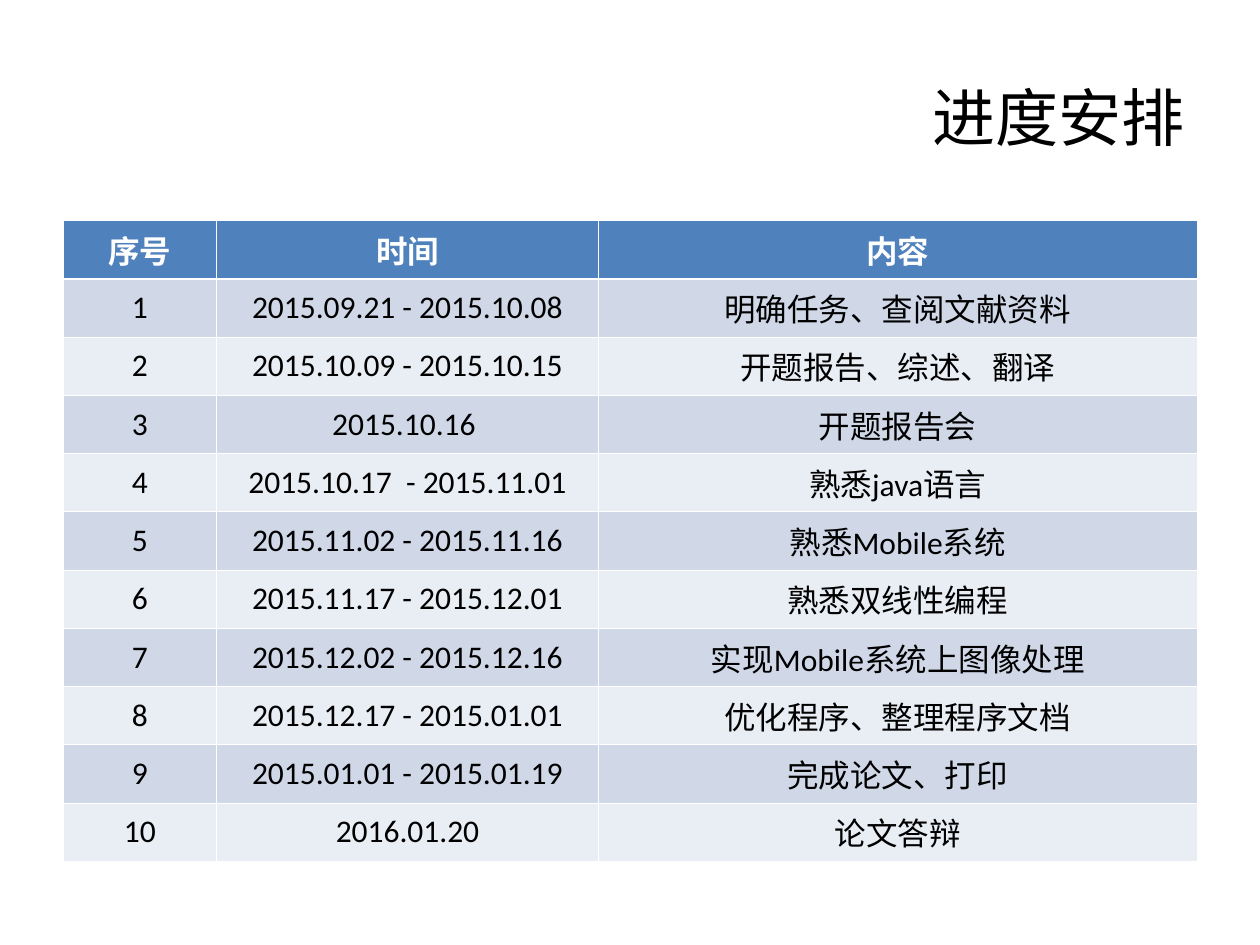
from dataclasses import dataclass

from lxml.etree import SubElement
from pptx import Presentation
from pptx.dml.color import RGBColor as RGB
from pptx.enum.text import MSO_ANCHOR as Anchor, PP_ALIGN as Align
from pptx.oxml.ns import qn
from pptx.util import Inches, Pt

# Content
HEADING = "进度安排"
COLUMNS = [("序号", 1.22), ("时间", 3.03), ("内容", 4.75)]
STAGES = [
    ("2015.09.21 - 2015.10.08", "明确任务、查阅文献资料"),
    ("2015.10.09 - 2015.10.15", "开题报告、综述、翻译"),
    ("2015.10.16 ", "开题报告会"),
    ("2015.10.17  - 2015.11.01", "熟悉java语言"),
    ("2015.11.02 - 2015.11.16", "熟悉Mobile系统"),
    ("2015.11.17 - 2015.12.01", "熟悉双线性编程"),
    ("2015.12.02 - 2015.12.16", "实现Mobile系统上图像处理"),
    ("2015.12.17 - 2015.01.01", "优化程序、整理程序文档"),
    ("2015.01.01 - 2015.01.19", "完成论文、打印"),
    ("2016.01.20", "论文答辩"),
]


@dataclass(frozen=True)
class Theme:
    ink: str = "000000"
    white: str = "FFFFFF"
    header: str = "4F81BD"
    bands: tuple = ("E9EDF4", "D0D8E8")  # even rows, odd rows
    heading_font: str = "Arial"
    heading_size: int = 36
    body_font: str = "Calibri"
    body_size: int = 18
    space_before: float = 4.5
    thin: float = 0.45
    thick: float = 1.47


THEME = Theme()
LEFT, TABLE_TOP, WIDTH, ROW_HEIGHT = 0.5, 1.75, 9, 0.45


def style_text(frame, font, size, color, align, bold=False):
    frame.vertical_anchor = Anchor.MIDDLE
    paragraph = frame.paragraphs[0]
    paragraph.alignment = align
    for run in paragraph.runs:
        run.font.name = font
        run.font.size = Pt(size)
        run.font.bold = bold
        run.font.color.rgb = RGB.from_string(color)
    return paragraph


def set_borders(cell, **widths):
    """Draw white borders; they must precede the fill in the cell properties."""
    properties = cell._tc.get_or_add_tcPr()
    for place, side in enumerate("LRTB"):
        line = SubElement(properties, qn(f"a:ln{side}"), w=str(Pt(widths[side])))
        fill = SubElement(line, qn("a:solidFill"))
        SubElement(fill, qn("a:srgbClr"), val=THEME.white)
        properties.insert(place, line)


deck = Presentation()
deck.slide_width, deck.slide_height = Inches(10), Inches(7.5)
slide = deck.slides.add_slide(deck.slide_layouts[5])

# Heading
heading = slide.shapes.title
heading.left, heading.top = Inches(LEFT), Inches(0.3)
heading.width, heading.height = Inches(WIDTH), Inches(1.25)
heading.text_frame.text = HEADING
style_text(heading.text_frame, THEME.heading_font, THEME.heading_size,
           THEME.ink, Align.RIGHT)

# Schedule table
rows = [[name for name, _ in COLUMNS]]
rows += [(str(number), *stage) for number, stage in enumerate(STAGES, 1)]
schedule = slide.shapes.add_table(
    len(rows), len(COLUMNS), Inches(LEFT), Inches(TABLE_TOP),
    Inches(WIDTH), Inches(ROW_HEIGHT * len(rows))).table
for column, (_, width) in zip(schedule.columns, COLUMNS):
    column.width = Inches(width)

for r, row in enumerate(rows):
    schedule.rows[r].height = Inches(ROW_HEIGHT)
    is_header = r == 0
    for c, text in enumerate(row):
        cell = schedule.cell(r, c)
        cell.text_frame.text = text
        paragraph = style_text(cell.text_frame, THEME.body_font, THEME.body_size,
                               THEME.white if is_header else THEME.ink,
                               Align.CENTER, is_header)
        paragraph.space_before = Pt(THEME.space_before)
        cell.vertical_anchor = Anchor.MIDDLE
        cell.fill.solid()
        cell.fill.fore_color.rgb = RGB.from_string(
            THEME.header if is_header else THEME.bands[r % 2])
        set_borders(cell, L=THEME.thin, R=THEME.thin,
                    T=THEME.thick if r == 1 else THEME.thin,
                    B=THEME.thick if is_header else THEME.thin)

deck.save("out.pptx")
